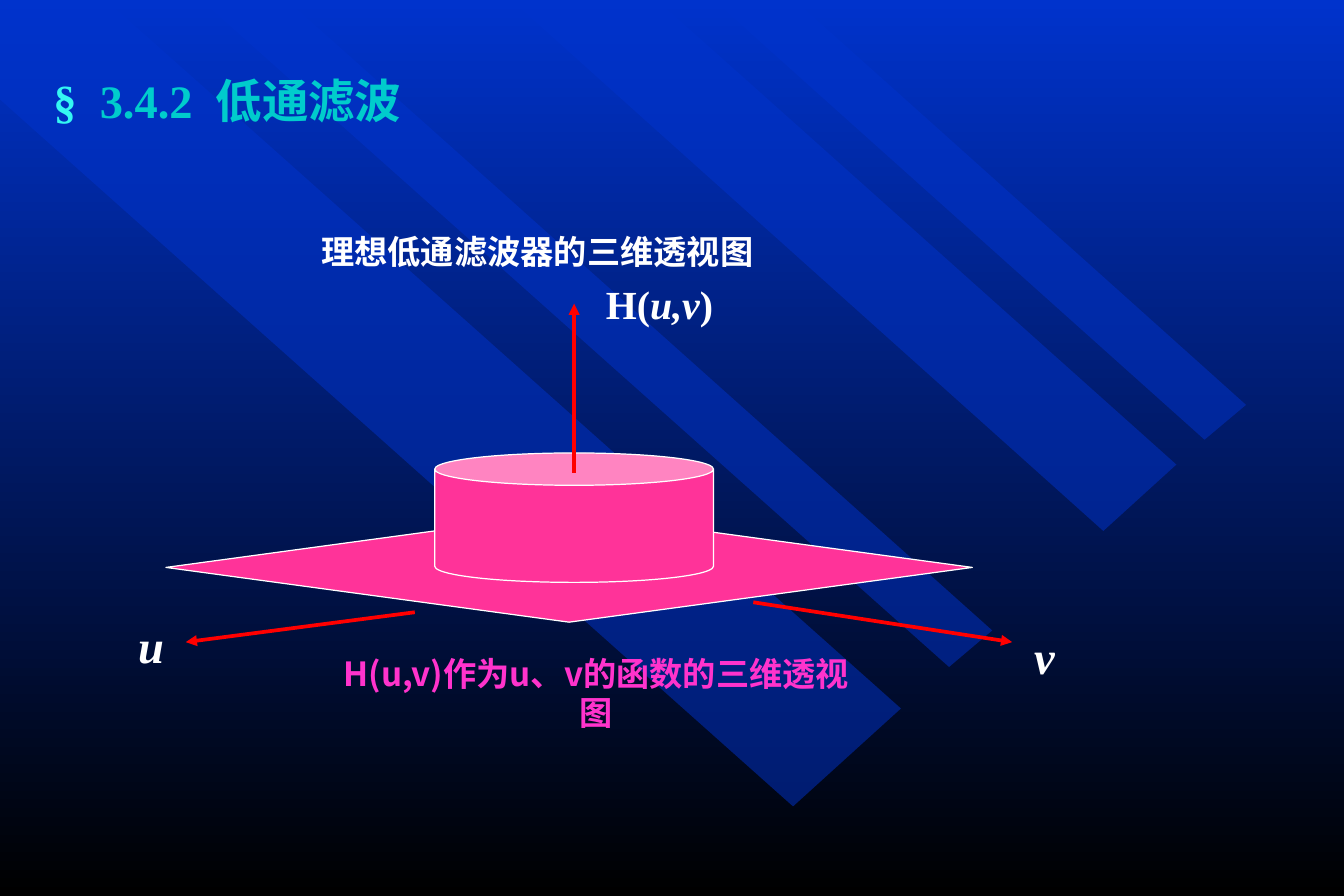
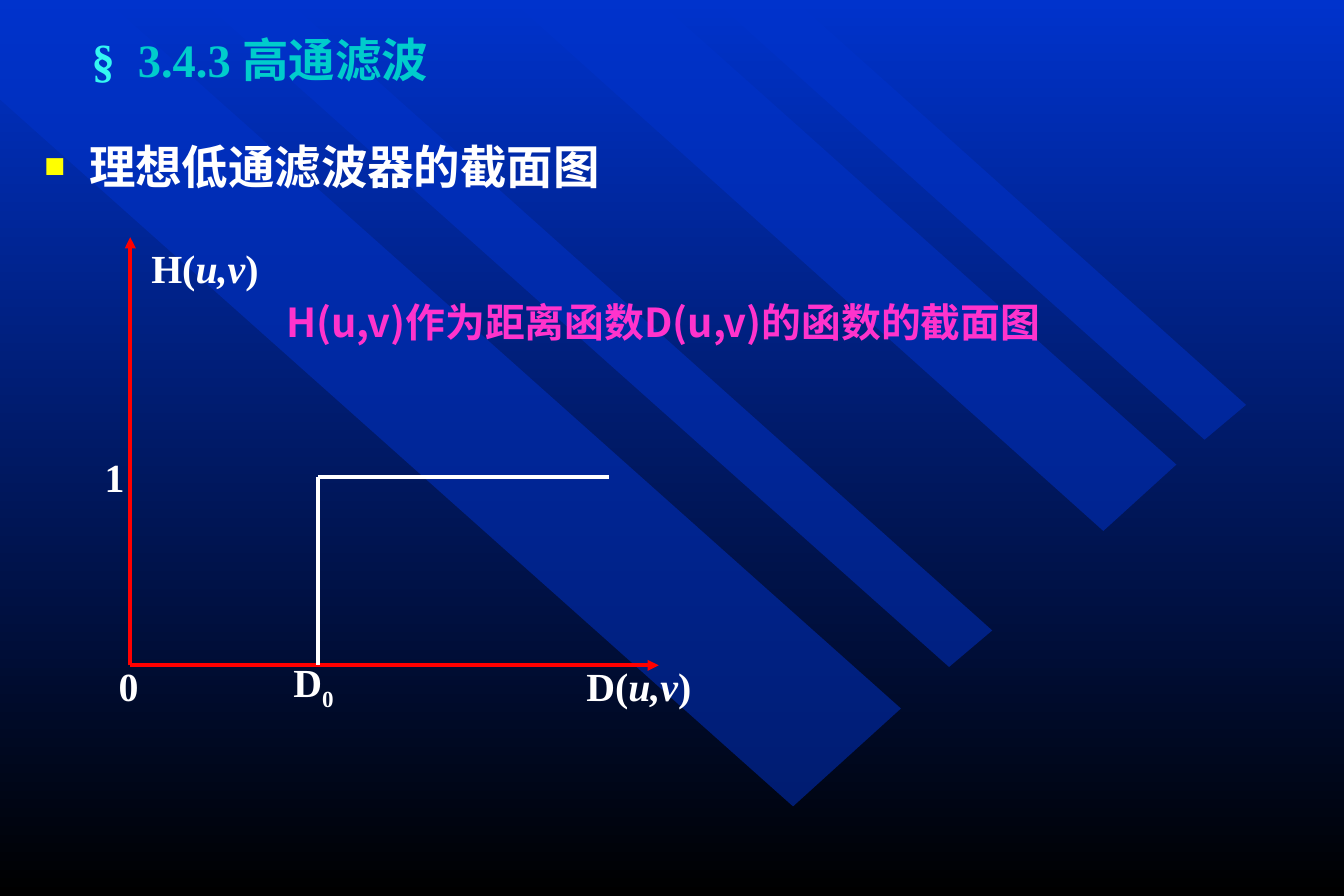
"""Build two slides on ideal lowpass and highpass filters."""
from pptx import Presentation
from pptx.dml.color import RGBColor
from pptx.enum import shapes, text
from pptx.oxml import parse_xml
from pptx.oxml.ns import nsdecls, qn
from pptx.util import Pt

hue = RGBColor.from_string
NS = nsdecls("a")
TIMES, NOTO = "Times New Roman", "Noto Sans CJK SC"
BLUE, BLACK, WHITE, RED = "0033CC", "000000", "FFFFFF", "FF0000"
CYAN, TEAL, ROSE, PINK = "34F7F2", "00CCCC", "FF3399", "FF33CC"
LEFT, MID = text.PP_ALIGN.LEFT, text.PP_ALIGN.CENTER
TOP, HALF = text.MSO_ANCHOR.TOP, text.MSO_ANCHOR.MIDDLE
HUV = [("H(", {}), ("u,v", {"italic": True}), (")", {})]
DUV = [("D(", {}), *HUV[1:]]


def write(slide, parts, box, hold=None, size=24, color=WHITE, face=TIMES,
          align=LEFT, anchor=TOP, wrap=True, lead=None, bullet=None):
    """Put formatted runs in a placeholder or a new text box."""
    spots = [Pt(n) for n in box]
    if hold is None:
        hold = slide.shapes.add_textbox(*spots)
    hold.left, hold.top, hold.width, hold.height = spots
    frame = hold.text_frame
    frame.auto_size = text.MSO_AUTO_SIZE.NONE
    frame.word_wrap, frame.vertical_anchor = wrap, anchor
    para = frame.paragraphs[0]
    if bullet:
        props = para._p.get_or_add_pPr()
        props.set("marL", str(Pt(27)))
        props.set("indent", str(-Pt(27)))
        for tag in (f'<a:buClr {NS}><a:srgbClr val="{bullet}"/></a:buClr>',
                    f'<a:buSzPct {NS} val="75000"/>',
                    f'<a:buFont {NS} typeface="{TIMES}"/>',
                    f'<a:buChar {NS} char="■"/>'):
            props.append(parse_xml(tag))
    para.alignment, para.space_before = align, Pt(0)
    if lead:
        para.line_spacing = Pt(lead)
    if isinstance(parts, str):
        parts = [(parts, {})]
    for words, look in parts:
        run = para.add_run()
        run.text = words
        font = run.font
        font.name, font.size, font.bold = face, Pt(size), True
        font.italic = look.get("italic", False)
        font.color.rgb = hue(look.get("color", color))
        props = run._r.get_or_add_rPr()
        props.find(qn("a:latin")).addnext(
            parse_xml(f'<a:ea {NS} typeface="{NOTO}"/>'))
        if "base" in look:
            props.set("baseline", look["base"])


def join(slide, start, end, color=RED, head=True):
    """Draw a straight line, with an arrowhead at its end if wanted."""
    line = slide.shapes.add_connector(
        shapes.MSO_CONNECTOR.STRAIGHT, *(Pt(n) for n in (*start, *end)))
    line.line.color.rgb, line.line.width = hue(color), Pt(2.25)
    if head:
        line.line._get_or_add_ln().append(
            parse_xml(f'<a:tailEnd {NS} type="triangle"/>'))
    line._element.spPr.append(parse_xml(f"<a:effectLst {NS}/>"))


deck = Presentation()
deck.slide_width, deck.slide_height = Pt(810), Pt(540)
base = deck.slide_master
back = base.background.fill
back.gradient()
back.gradient_angle = 270
for stop, color in zip(back.gradient_stops, (BLUE, BLACK)):
    stop.color.rgb = hue(color)

low = deck.slides.add_slide(deck.slide_layouts[5])
high = deck.slides.add_slide(deck.slide_layouts[1])

bands = [
    [(543, 427), (64, 0), (0, 0), (0, 60.5), (477.5, 486)],
    [(173, 0), (598, 379.5), (572, 402.5), (121, 0)],
    [(396, 0), (709, 280), (665, 319.5), (307.5, 0)],
    [(430, 0), (726.5, 265), (751, 243.5), (479, 0)],
]
for spot, points in enumerate(bands):
    pen = low.shapes.build_freeform(*points[0], scale=Pt(1))
    pen.add_line_segments(points[1:], close=True)
    band = pen.convert_to_shape()
    band.shadow.inherit = False
    band.fill.solid()
    band.fill.fore_color.rgb = hue(BLUE)
    band.line.fill.background()
    band._element.find(".//" + qn("a:srgbClr")).append(
        parse_xml(f'<a:alpha {NS} val="50000"/>'))
    base.shapes.element.insert(2 + spot, band._element)

for slide, name, box in (
        (low, "  3.4.2  低通滤波", (25, 40, 324, 41)),
        (high, "  3.4.3 高通滤波", (48, 15, 385, 41))):
    write(slide, [("§", {"color": CYAN}), (name, {})], box,
          hold=slide.shapes.title, size=28, color=TEAL, lead=33.6)

for kind, box in ((shapes.MSO_SHAPE.DIAMOND, (100, 309, 486, 66)),
                  (shapes.MSO_SHAPE.CAN, (262, 273, 168, 78))):
    solid = low.shapes.add_shape(kind, *(Pt(n) for n in box))
    solid.shadow.inherit = False
    solid.fill.solid()
    solid.fill.fore_color.rgb = hue(ROSE)
    solid.line.color.rgb, solid.line.width = hue(WHITE), Pt(0.75)
solid.adjustments[0] = 0.25

write(low, "理想低通滤波器的三维透视图", (186.5, 136, 278, 34), size=20, lead=24)
for start, end in (((346, 285), (346, 183)),
                   ((454, 363), (610, 387)),
                   ((250, 369), (112, 387))):
    join(low, start, end)
write(low, "H(u,v)作为u、v的函数的三维透视图", (192, 402, 335, 31), size=20,
      color=PINK, face=NOTO, align=MID, anchor=HALF, lead=24)

write(high, "理想低通滤波器的截面图", (19.5, 79.5, 564, 54),
      hold=high.placeholders[1], size=28, lead=33.6, bullet="FFFF00")
zero, edge = (78.5, 401), (191.5, 287.5)
join(high, zero, (397, 401))
join(high, zero, (78.5, 143))
join(high, (367, 287.5), edge, color=WHITE, head=False)
join(high, edge, (191.5, 401), color=WHITE, head=False)
write(high, "H(u,v)作为距离函数D(u,v)的函数的截面图", (165.5, 176, 478, 36),
      color=PINK, face=NOTO, anchor=HALF, lead=29)

for slide, parts, box, size in (
        (low, [("v", {"italic": True})], (616, 375, 27, 41), 28),
        (low, [("u", {"italic": True})], (76, 368.5, 30, 41), 28),
        (low, HUV, (358, 165, 79, 36), 24),
        (high, HUV, (84, 143, 79, 36), 24),
        (high, "1", (55.5, 269, 27, 36), 24),
        (high, "0", (64, 395, 27, 36), 24),
        (high, [("D", {}), ("0", {"base": "-25000"})], (169, 395, 40, 36), 24),
        (high, DUV, (346, 395, 78, 36), 24)):
    write(slide, parts, box, size=size, align=MID, anchor=HALF, wrap=False)

deck.save("out.pptx")
